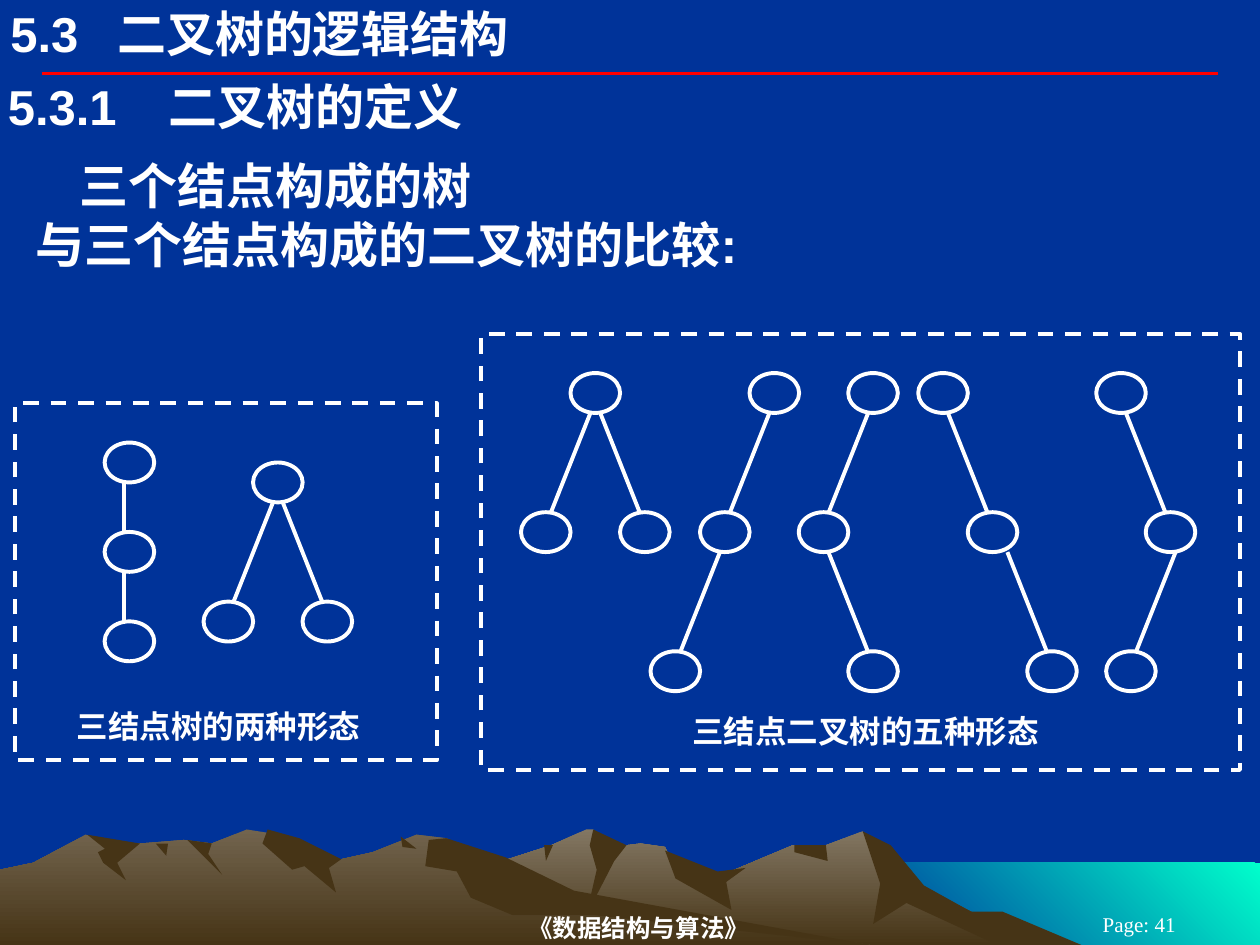
from lxml import etree
from pptx import Presentation
from pptx.dml.color import RGBColor
from pptx.enum import dml, shapes, text
from pptx.oxml.ns import qn
from pptx.util import Pt

BLUE = RGBColor(0x00, 0x33, 0x99)
AQUA = RGBColor(0x00, 0xFF, 0xCC)
WHITE = RGBColor(0xFF, 0xFF, 0xFF)
RED = RGBColor(0xFF, 0x00, 0x00)
EARTH = RGBColor(0x46, 0x34, 0x16)
SAND = RGBColor(0x83, 0x77, 0x63)
CLAY = RGBColor(0x72, 0x64, 0x4E)

prs = Presentation()
prs.slide_width, prs.slide_height = Pt(720), Pt(540)
slide = prs.slides.add_slide(prs.slide_layouts[6])
slide.background.fill.solid()
slide.background.fill.fore_color.rgb = BLUE


def add_line(x1, y1, x2, y2, color):
    line = slide.shapes.add_connector(
        shapes.MSO_CONNECTOR.STRAIGHT, Pt(x1), Pt(y1), Pt(x2), Pt(y2))
    line.line.color.rgb = color
    line.line.width = Pt(2.25)
    etree.SubElement(line._element.spPr, qn("a:effectLst"))


def add_text(box, paragraphs, size, font="Arial", bold=True, centred=False, inset=0.75):
    """Each paragraph is (words, left indent, tab stop), the last two in points."""
    frame = slide.shapes.add_textbox(*map(Pt, box)).text_frame
    frame.word_wrap = True
    frame.margin_left = frame.margin_right = Pt(inset * 2)
    frame.margin_top = frame.margin_bottom = Pt(inset)
    if centred:
        frame.vertical_anchor = text.MSO_ANCHOR.MIDDLE
    for index, (words, indent, tab) in enumerate(paragraphs):
        paragraph = frame.add_paragraph() if index else frame.paragraphs[0]
        if centred:
            paragraph.alignment = text.PP_ALIGN.CENTER
        props = paragraph._p.get_or_add_pPr()
        if indent:
            props.set("marL", str(Pt(indent)))
            props.set("indent", "0")
        if tab:
            stops = etree.SubElement(props, qn("a:tabLst"))
            etree.SubElement(stops, qn("a:tab"), pos=str(Pt(tab)), algn="l")
        run = paragraph.add_run()
        run.text = words
        run.font.size, run.font.bold, run.font.name = Pt(size), bold, font
        run.font.color.rgb = WHITE


# Landscape outlines in points; the gradient, if any, is (end colour, angle)
landscape = [
    (AQUA, (BLUE, 225), [(720, 540), (492, 540), (492, 493), (720, 493)]),
    (SAND, (EARTH, 270), [
        (591, 540), (520, 503), (493, 475), (472, 483), (453, 483), (408, 502), (386, 497),
        (380, 484), (366, 482), (350, 484), (339, 474), (335, 474), (315, 483), (284, 493),
        (235, 510), (186, 540)]),
    (EARTH, None, [
        (573, 521), (555, 521), (528, 506), (509, 483), (493, 475), (503, 505), (499, 528),
        (518, 516), (570, 540), (618, 540)]),
    (EARTH, None, [
        (339, 474), (337, 483), (341, 497), (335, 523), (351, 492), (358, 483)]),
    (EARTH, None, [(380, 486), (386, 502), (418, 520), (415, 504), (426, 496), (410, 498)]),
    (EARTH, None, [(472, 483), (454, 483), (454, 487), (473, 492)]),
    (EARTH, None, [(311, 483), (316, 483), (312, 492)]),
    (CLAY, (EARTH, 270), [
        (497, 540), (311, 513), (255, 479), (238, 477), (213, 487), (195, 491), (170, 490),
        (160, 477), (141, 474), (121, 482), (105, 480), (68, 483), (49, 477), (19, 493),
        (0, 497), (0, 540)]),
    (EARTH, None, [
        (153, 474), (150, 482), (167, 497), (174, 495), (192, 510), (188, 496), (195, 491),
        (171, 479)]),
    (EARTH, None, [
        (255, 479), (245, 480), (243, 495), (261, 498), (269, 513), (293, 523), (340, 523),
        (497, 540), (328, 509), (289, 490)]),
    (EARTH, None, [(229, 478), (238, 485), (230, 484)]),
    (EARTH, None, [(107, 480), (121, 482), (119, 488), (127, 500)]),
    (EARTH, None, [(89, 482), (96, 482), (95, 489)]),
    (EARTH, None, [
        (50, 477), (80, 482), (67, 493), (72, 503), (59, 493), (56, 487), (60, 485)]),
]
for color, gradient, points in landscape:
    builder = slide.shapes.build_freeform(*points[0], scale=Pt(1))
    builder.add_line_segments(points[1:], close=True)
    relief = builder.convert_to_shape()
    relief.shadow.inherit = False
    relief.line.fill.background()
    if gradient:
        relief.fill.gradient()
        relief.fill.gradient_angle = gradient[1]
        for stop, stop_color in zip(relief.fill.gradient_stops, (color, gradient[0])):
            stop.color.rgb = stop_color
    else:
        relief.fill.solid()
        relief.fill.fore_color.rgb = color

add_line(24, 42, 696, 42, RED)
add_text((147, 520, 436, 20), [("《数据结构与算法》", 0, 0)], 14, "Times New Roman", centred=True)
add_text((594, 522, 114, 12), [("Page: 41", 0, 0)], 12, "Times New Roman", bold=False,
         centred=True, inset=3.6)

add_text((6, 2, 468, 34), [("5.3\t二叉树的逻辑结构", 0, 61)], 28, inset=0)
add_text((3, 43, 720, 35), [("5.3.1\t二叉树的定义", 0, 92)], 28)
add_text((0, 88, 720, 69),
         [("三个结点构成的树", 44, 0), ("与三个结点构成的二叉树的比较:", 19, 0)], 28)

# Each tree: root centre, row step, then (parent, sideways move in half-gaps) per child
NODE_W, NODE_H = 28.35, 22.8
HALF_GAP, EDGE_RUN, EDGE_SHIFT = 28.3, 22.5, 3
TOP, STEP = 224.6, 79.5
FORK = [(0, -1), (0, 1)]
trees = [
    (74, 264.3, 51.1, [(0, 0), (1, 0)]),
    (158.8, 275.7, STEP, FORK),
    (340.2, TOP, STEP, FORK),
    (442.5, TOP, STEP, [(0, -1), (1, -1)]),
    (498.9, TOP, STEP, [(0, -1), (1, 1)]),
    (538.9, TOP, STEP, [(0, 1), (1, 1.2)]),
    (640.6, TOP, STEP, [(0, 1), (1, -0.8)]),
]
for root_x, root_y, step, children in trees:
    centres = [(root_x, root_y)]
    for parent, move in children:
        parent_x, parent_y = centres[parent]
        x, y = parent_x + move * HALF_GAP, parent_y + step
        centres.append((x, y))
        side = (move > 0) - (move < 0)
        edge_x = x - EDGE_SHIFT * (side or 1)
        add_line(edge_x - side * EDGE_RUN, parent_y + NODE_H / 2,
                 edge_x, y - NODE_H / 2, WHITE)
    for x, y in centres:
        node = slide.shapes.add_shape(
            shapes.MSO_SHAPE.OVAL, Pt(x - NODE_W / 2), Pt(y - NODE_H / 2), Pt(NODE_W), Pt(NODE_H))
        node.shadow.inherit = False
        node.fill.solid()
        node.fill.fore_color.rgb = BLUE
        node.line.color.rgb = WHITE
        node.line.width = Pt(2.25)

panels = [
    ((8.6, 230.4, 241, 204), (42.5, 403, 170, 23), "三结点树的两种形态"),
    ((275, 191, 433.6, 249), (394, 406, 204, 23), "三结点二叉树的五种形态"),
]
for frame_box, caption_box, caption in panels:
    panel = slide.shapes.add_shape(shapes.MSO_SHAPE.RECTANGLE, *map(Pt, frame_box))
    panel.shadow.inherit = False
    panel.fill.background()
    panel.line.color.rgb = WHITE
    panel.line.width = Pt(2.25)
    panel.line.dash_style = dml.MSO_LINE.DASH
    add_text(caption_box, [(caption, 0, 0)], 18)

prs.save("out.pptx")
